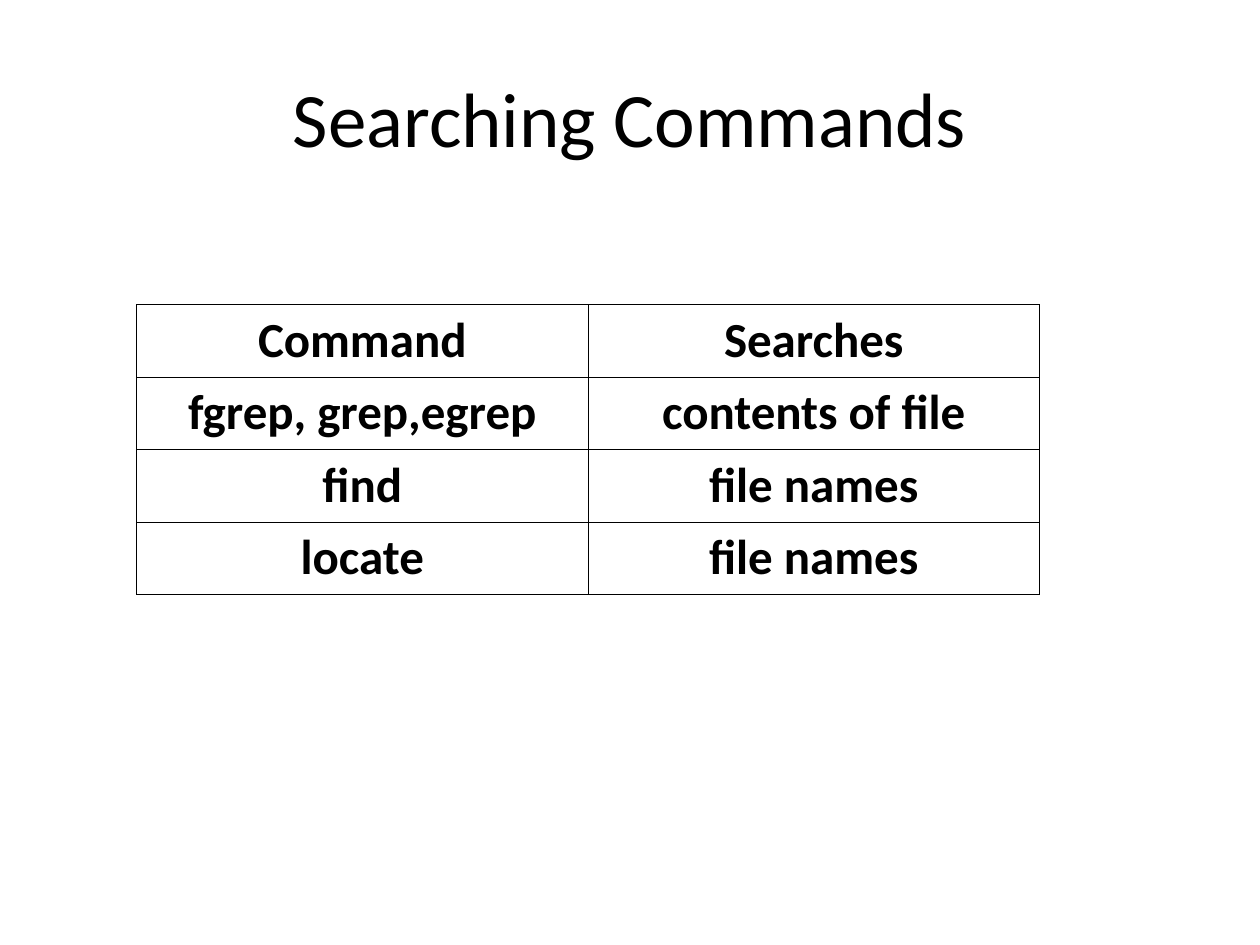
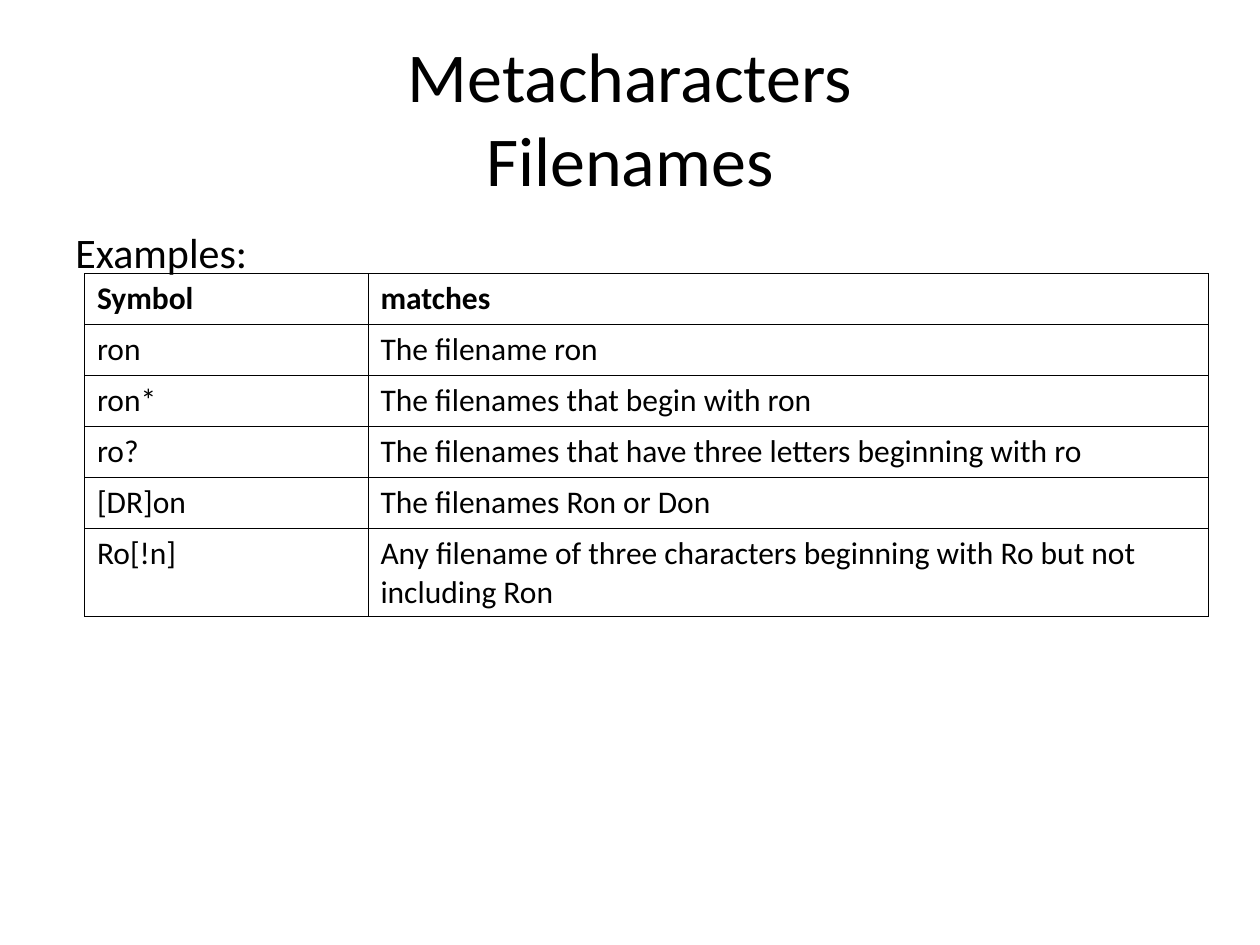
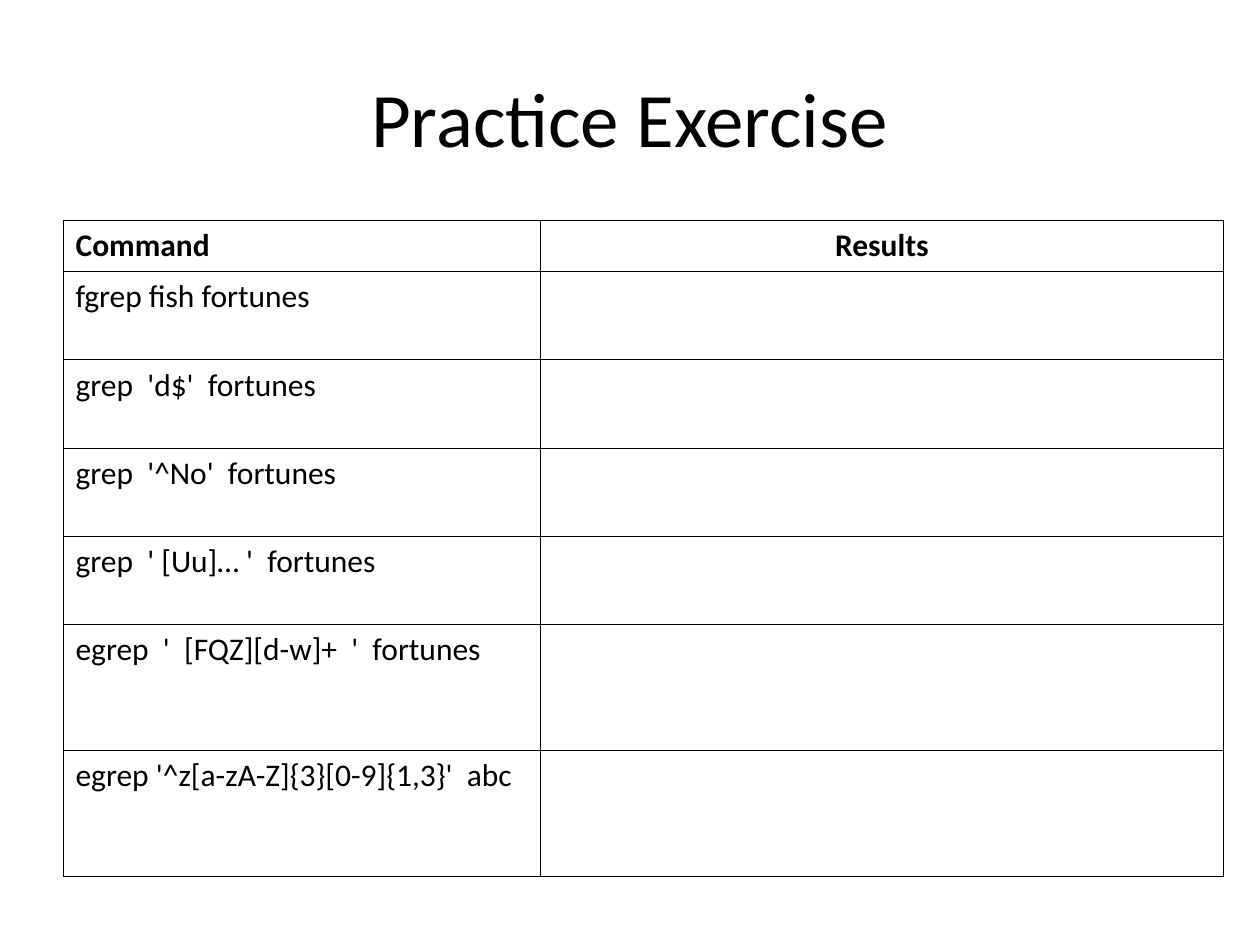
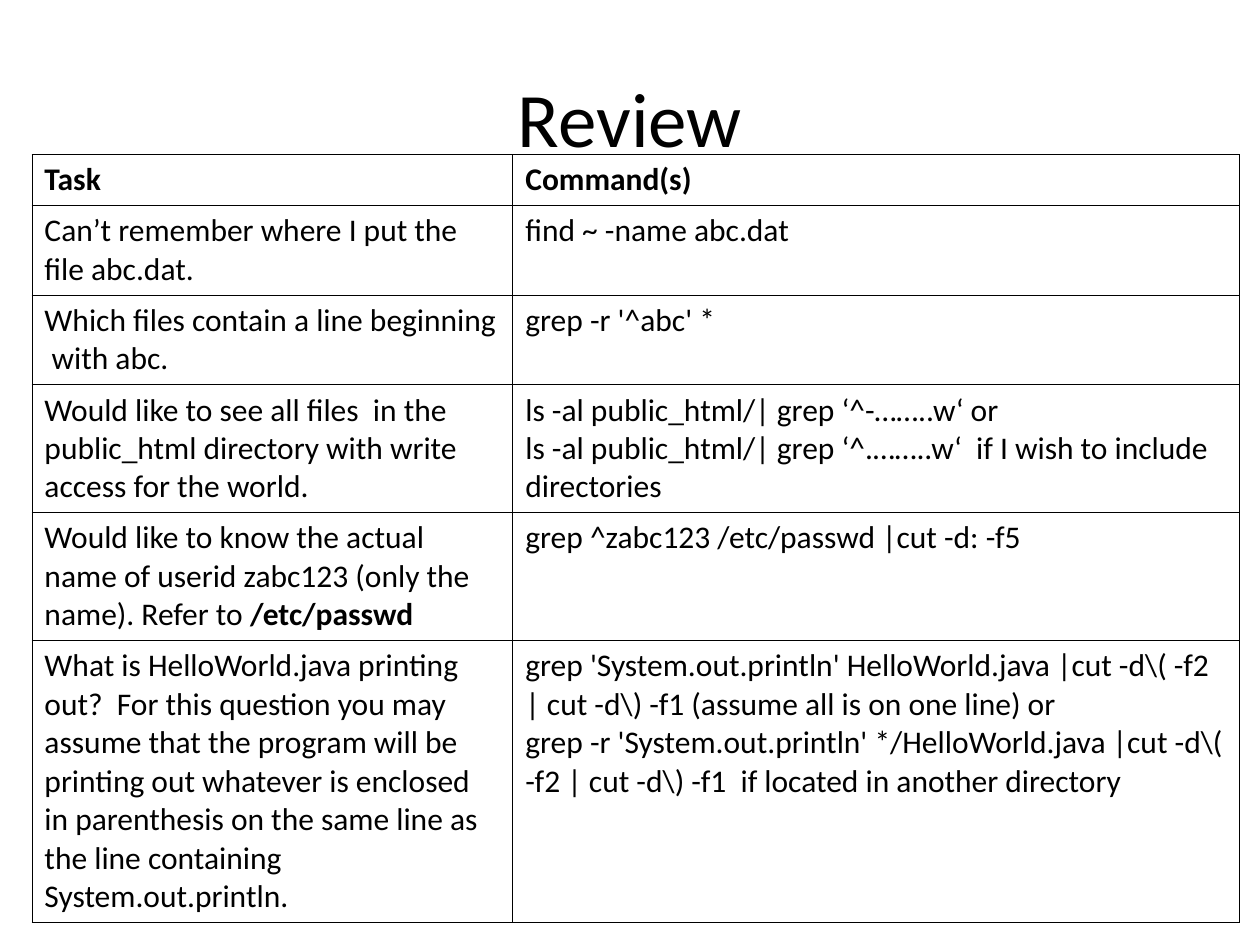
from lxml.etree import SubElement
from pptx import Presentation
from pptx.dml.color import RGBColor
from pptx.enum.text import MSO_ANCHOR, PP_ALIGN
from pptx.oxml.ns import qn
from pptx.util import Pt

# Shared look
FONT, INK, PAPER = "Calibri", "000000", "FFFFFF"
LEFT, MID = PP_ALIGN.LEFT, PP_ALIGN.CENTER
TITLE = (36, 21.6, 648, 90)
EDGE = 0.45

# Content: "**" switches bold on and off, "\n" starts a paragraph, "\v" a line
SLIDES = [
    dict(title="Searching Commands", at=(78, 174), cols=[258, 258],
         rows=[41.4] * 4, size=28, bold=True, head=[MID, MID], body=MID,
         cells=[
             ("Command", "Searches"),
             ("fgrep, grep,egrep", "contents of file"),
             ("find", "file names"),
             ("locate", "file names"),
         ]),
    dict(title="Metacharacters\vFilenames", big=40, note="Examples:",
         at=(48.24, 156.24), cols=[162, 480], rows=[29.16] * 5 + [50.4],
         cells=[
             ("Symbol", "matches"),
             ("ron", "The filename ron"),
             ("ron*", "The filenames that begin with ron"),
             ("ro?", "The filenames that have three letters beginning with ro"),
             ("[DR]on", "The filenames Ron or Don"),
             ("Ro[!n]", "Any filename of three characters beginning with Ro "
                        "but not including Ron"),
         ]),
    dict(title="Practice Exercise", at=(36, 126), cols=[273, 390],
         rows=[29.16] + [50.4] * 4 + [72] * 2, head=[LEFT, MID], fill=PAPER,
         cells=[
             ("Command", "Results"),
             ("fgrep fish fortunes", ""),
             ("grep  'd$'  fortunes", ""),
             ("grep  '^No'  fortunes", ""),
             ("grep  ' [Uu]… '  fortunes", ""),
             ("egrep  '  [FQZ][d-w]+  '  fortunes", ""),
             ("egrep '^z[a-zA-Z]{3}[0-9]{1,3}'  abc", ""),
         ]),
    dict(title="Review", at=(18.24, 88.3), cols=[274.8, 415],
         rows=[29.16, 50.9, 50.9, 73, 73, 160.5], fill=PAPER,
         cells=[
             ("Task", "Command(s)"),
             ("Can’t remember where I put the file abc.dat.",
              "find ~ -name abc.dat"),
             ("Which files contain a line beginning  with abc.",
              "grep -r '^abc' *"),
             ("Would like to see all files  in the public_html directory "
              "with write access for the world.",
              "ls -al public_html/| grep ‘^-……..w‘ or\n"
              "ls -al public_html/| grep ‘^.……..w‘  if I wish to include "
              "directories"),
             ("Would like to know the actual name of userid zabc123 "
              "(only the name). Refer to **/etc/passwd**",
              "grep ^zabc123 /etc/passwd |cut -d: -f5"),
             ("What is HelloWorld.java printing out?  For this question you "
              "may assume that the program will be printing out whatever is "
              "enclosed in parenthesis on the same line as the line "
              "containing System.out.println.",
              r"grep 'System.out.println' HelloWorld.java |cut -d\( -f2 "
              r"| cut -d\) -f1 (assume all is on one line) or" "\n"
              r"grep -r 'System.out.println' */HelloWorld.java |cut -d\( -f2 "
              r"| cut -d\) -f1  if located in another directory"),
         ]),
]


def color(code):
    return RGBColor.from_string(code)


def write(frame, text, size=18, bold=False, align=LEFT, hang=0):
    """Fill a text frame with formatted paragraphs."""
    frame.word_wrap = True
    for n, line in enumerate(text.split("\n")):
        para = frame.add_paragraph() if n else frame.paragraphs[0]
        para.alignment = align
        if hang:
            props = para._p.get_or_add_pPr()
            props.set("marL", str(Pt(hang)))
            props.set("indent", str(-Pt(hang)))
        for k, part in enumerate(line.split("**")):
            for m, bit in enumerate(part.split("\v")):
                if m:
                    para.add_line_break()
                if not bit:
                    continue
                run = para.add_run()
                run.text = bit
                font = run.font
                font.name, font.size = FONT, Pt(size)
                font.bold = bold or k % 2 == 1
                font.color.rgb = color(INK)


def border(cell):
    """Draw a thin line on all four sides of a cell."""
    props = cell._tc.get_or_add_tcPr()
    for n, side in enumerate("LRTB"):
        line = SubElement(props, qn("a:ln" + side), w=str(Pt(EDGE)))
        paint = SubElement(line, qn("a:solidFill"))
        SubElement(paint, qn("a:srgbClr"), val=INK)
        props.insert(n, line)


def grid(slide, at, cols, rows, cells, size=18, bold=False,
         head=(LEFT, LEFT), body=LEFT, fill=None):
    """Add a ruled table whose first row is its heading."""
    area = [Pt(v) for v in (*at, sum(cols), sum(rows))]
    table = slide.shapes.add_table(len(rows), len(cols), *area).table
    table.first_row = table.horz_banding = False
    for col, width in zip(table.columns, cols):
        col.width = Pt(width)
    for r, (row, high) in enumerate(zip(table.rows, rows)):
        row.height = Pt(high)
        for c, cell in enumerate(row.cells):
            if fill:
                cell.fill.solid()
                cell.fill.fore_color.rgb = color(fill)
            else:
                cell.fill.background()
            border(cell)
            write(cell.text_frame, cells[r][c], size=size,
                  bold=bold or r == 0, align=body if r else head[c])


def build(deck, title, big=44, note=None, **table):
    """Add one slide: title, optional lead-in and table."""
    slide = deck.slides.add_slide(deck.slide_layouts[5])
    name = slide.shapes.title
    name.left, name.top, name.width, name.height = map(Pt, TITLE)
    name.text_frame.vertical_anchor = MSO_ANCHOR.MIDDLE
    write(name.text_frame, title, size=big, align=MID)
    if note:
        box = slide.shapes.add_textbox(*map(Pt, (36, 126, 648, 356.4)))
        write(box.text_frame, note, size=24, hang=27)
    grid(slide, **table)


def main():
    deck = Presentation()
    deck.slide_width, deck.slide_height = Pt(720), Pt(540)
    for item in SLIDES:
        build(deck, **item)
    deck.save("out.pptx")


if __name__ == "__main__":
    main()
